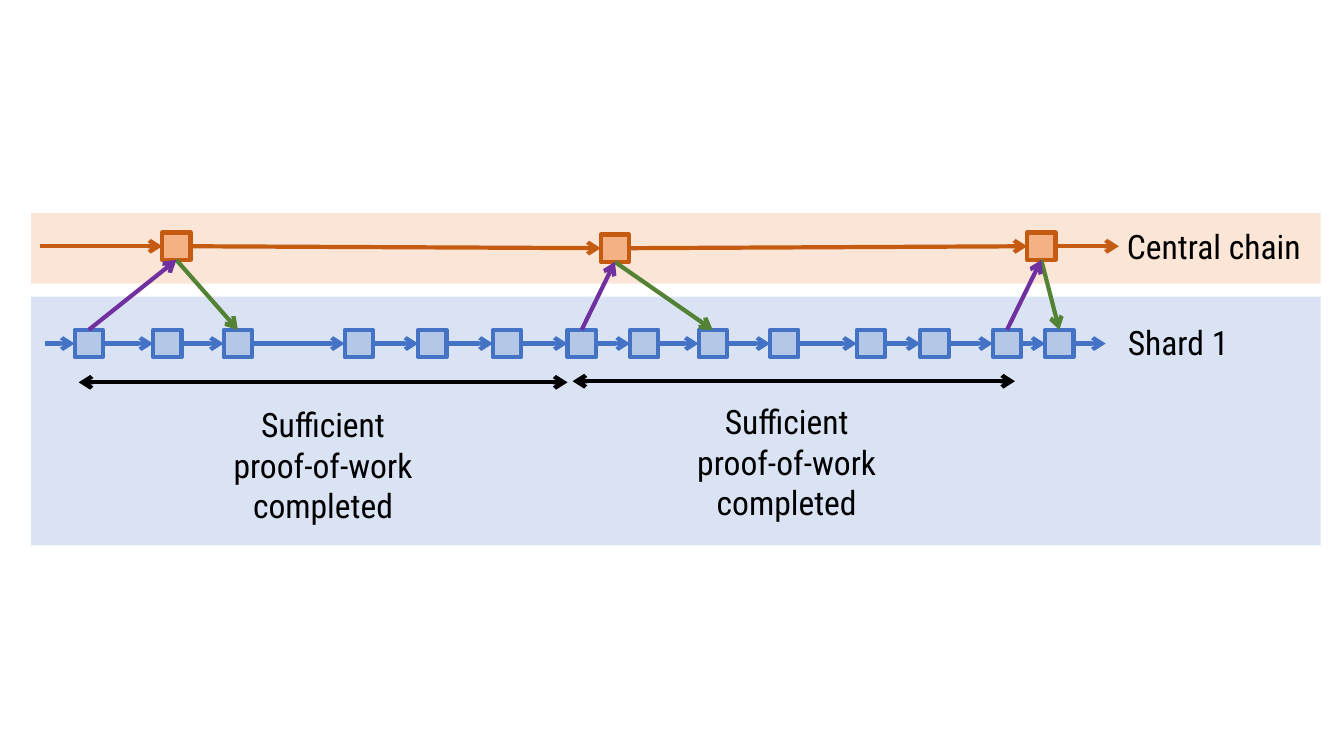
from dataclasses import dataclass
from itertools import pairwise

from lxml.etree import SubElement
from pptx import Presentation
from pptx.dml.color import RGBColor as Color
from pptx.enum.shapes import MSO_CONNECTOR as Connector, MSO_SHAPE as Shape
from pptx.enum.text import PP_ALIGN as Align
from pptx.oxml.ns import qn
from pptx.shapes.autoshape import Shape as Box
from pptx.slide import Slide
from pptx.util import Pt

TOP, LEFT, BOTTOM, RIGHT = range(4)


@dataclass(frozen=True)
class Theme:
    font: str = "Roboto Condensed"
    text_size: float = 24
    stroke: float = 3
    text: str = "000000"
    central_band: str = "FBE5D6"
    central_fill: str = "F4B183"
    central_line: str = "C55A11"
    shard_band: str = "DAE3F3"
    shard_fill: str = "B4C7E7"
    shard_line: str = "4472C4"
    submit: str = "7030A0"
    confirm: str = "548235"


@dataclass(frozen=True)
class Frame:
    left: float
    top: float
    width: float
    height: float


@dataclass(frozen=True)
class Point:
    x: float
    y: float


@dataclass(frozen=True)
class Side:
    box: Box
    site: int


@dataclass(frozen=True)
class Chain:
    corners: list[Point]
    start: Point
    end: Point
    fill: str
    line: str


@dataclass(frozen=True)
class Label:
    frame: Frame
    lines: tuple[str, ...]
    align: Align


@dataclass(frozen=True)
class Checkpoint:
    central: int
    submitted_by: int
    confirmed_in: int


THEME = Theme()
BLOCK_WIDTH, BLOCK_HEIGHT = 20.2, 19.6
SHARD_TOP, SHARD_MIDDLE = 235.6, 245.4
CENTRAL_MIDDLE = 175.9
SHARD_LEFTS = (53.3, 109.4, 159.8, 246.2, 298.8, 352.1, 405.4,
               450, 499, 550.1, 612, 657.4, 709.2, 746.6)

BANDS = (
    (Frame(22.3, 152.2, 921, 50.4), THEME.central_band),
    (Frame(22.3, 211.9, 921, 177.8), THEME.shard_band),
)
CENTRAL = Chain(
    [Point(115.9, 166.1), Point(429.1, 167.5), Point(733.7, 166.1)],
    Point(28.8, CENTRAL_MIDDLE), Point(799.2, CENTRAL_MIDDLE),
    THEME.central_fill, THEME.central_line,
)
SHARD = Chain(
    [Point(left, SHARD_TOP) for left in SHARD_LEFTS],
    Point(32.4, SHARD_MIDDLE), Point(789.8, SHARD_MIDDLE),
    THEME.shard_fill, THEME.shard_line,
)
CHECKPOINTS = (Checkpoint(0, 0, 2), Checkpoint(1, 6, 8), Checkpoint(2, 12, 13))
SPANS = (
    (Point(56.2, 273.1), Point(405.4, 273.1)),
    (Point(409, 272.3), Point(725, 272.3)),
)
WORK = ("Sufficient", "proof-of-work", "completed")
LABELS = (
    Label(Frame(797.8, 157.7, 144.7, 36.4), ("Central chain",), Align.LEFT),
    Label(Frame(798.5, 226.1, 110.2, 36.4), ("Shard 1",), Align.LEFT),
    Label(Frame(57.6, 285.1, 346.3, 94.5), WORK, Align.CENTER),
    Label(Frame(388.8, 283, 346.3, 94.5), WORK, Align.CENTER),
)


def add_box(page: Slide, frame: Frame, fill: str, line: str | None = None) -> Box:
    box = page.shapes.add_shape(
        Shape.RECTANGLE, Pt(frame.left), Pt(frame.top), Pt(frame.width), Pt(frame.height)
    )
    box.shadow.inherit = False
    box.fill.solid()
    box.fill.fore_color.rgb = Color.from_string(fill)
    if line:
        box.line.color.rgb = Color.from_string(line)
        box.line.width = Pt(THEME.stroke)
    else:
        box.line.fill.background()
    return box


def add_arrow(page: Slide, start: Point | Side, end: Point | Side, color: str,
              both_ends: bool = False) -> None:
    places = [(Pt(spot.x), Pt(spot.y)) if isinstance(spot, Point) else (0, 0)
              for spot in (start, end)]
    arrow = page.shapes.add_connector(Connector.STRAIGHT, *places[0], *places[1])
    if isinstance(start, Side):
        arrow.begin_connect(start.box, start.site)
    if isinstance(end, Side):
        arrow.end_connect(end.box, end.site)
    arrow.line.color.rgb = Color.from_string(color)
    arrow.line.width = Pt(THEME.stroke)
    outline = arrow.line._get_or_add_ln()
    for tag in ("a:headEnd", "a:tailEnd") if both_ends else ("a:tailEnd",):
        SubElement(outline, qn(tag), type="arrow")
    SubElement(arrow._element.spPr, qn("a:effectLst"))


def add_chain(page: Slide, chain: Chain) -> list[Box]:
    blocks = [
        add_box(page, Frame(corner.x, corner.y, BLOCK_WIDTH, BLOCK_HEIGHT),
                chain.fill, chain.line)
        for corner in chain.corners
    ]
    add_arrow(page, chain.start, Side(blocks[0], LEFT), chain.line)
    for earlier, later in pairwise(blocks):
        add_arrow(page, Side(earlier, RIGHT), Side(later, LEFT), chain.line)
    add_arrow(page, Side(blocks[-1], RIGHT), chain.end, chain.line)
    return blocks


def add_label(page: Slide, label: Label) -> None:
    frame = label.frame
    box = page.shapes.add_textbox(
        Pt(frame.left), Pt(frame.top), Pt(frame.width), Pt(frame.height)
    )
    box.text_frame.word_wrap = True
    box.text_frame.text = "\n".join(label.lines)
    for para in box.text_frame.paragraphs:
        para.alignment = label.align
        para.font.name = THEME.font
        para.font.size = Pt(THEME.text_size)
        para.font.color.rgb = Color.from_string(THEME.text)


def main() -> None:
    deck = Presentation()
    deck.slide_width, deck.slide_height = Pt(960), Pt(540)
    page = deck.slides.add_slide(deck.slide_layouts[6])
    for frame, fill in BANDS:
        add_box(page, frame, fill)
    central_blocks = add_chain(page, CENTRAL)
    shard_blocks = add_chain(page, SHARD)
    for checkpoint in CHECKPOINTS:
        central = Side(central_blocks[checkpoint.central], BOTTOM)
        submitter = Side(shard_blocks[checkpoint.submitted_by], TOP)
        confirmer = Side(shard_blocks[checkpoint.confirmed_in], TOP)
        add_arrow(page, central, confirmer, THEME.confirm)
        add_arrow(page, submitter, central, THEME.submit)
    for start, end in SPANS:
        add_arrow(page, start, end, THEME.text, both_ends=True)
    for label in LABELS:
        add_label(page, label)
    deck.save("out.pptx")


if __name__ == "__main__":
    main()
